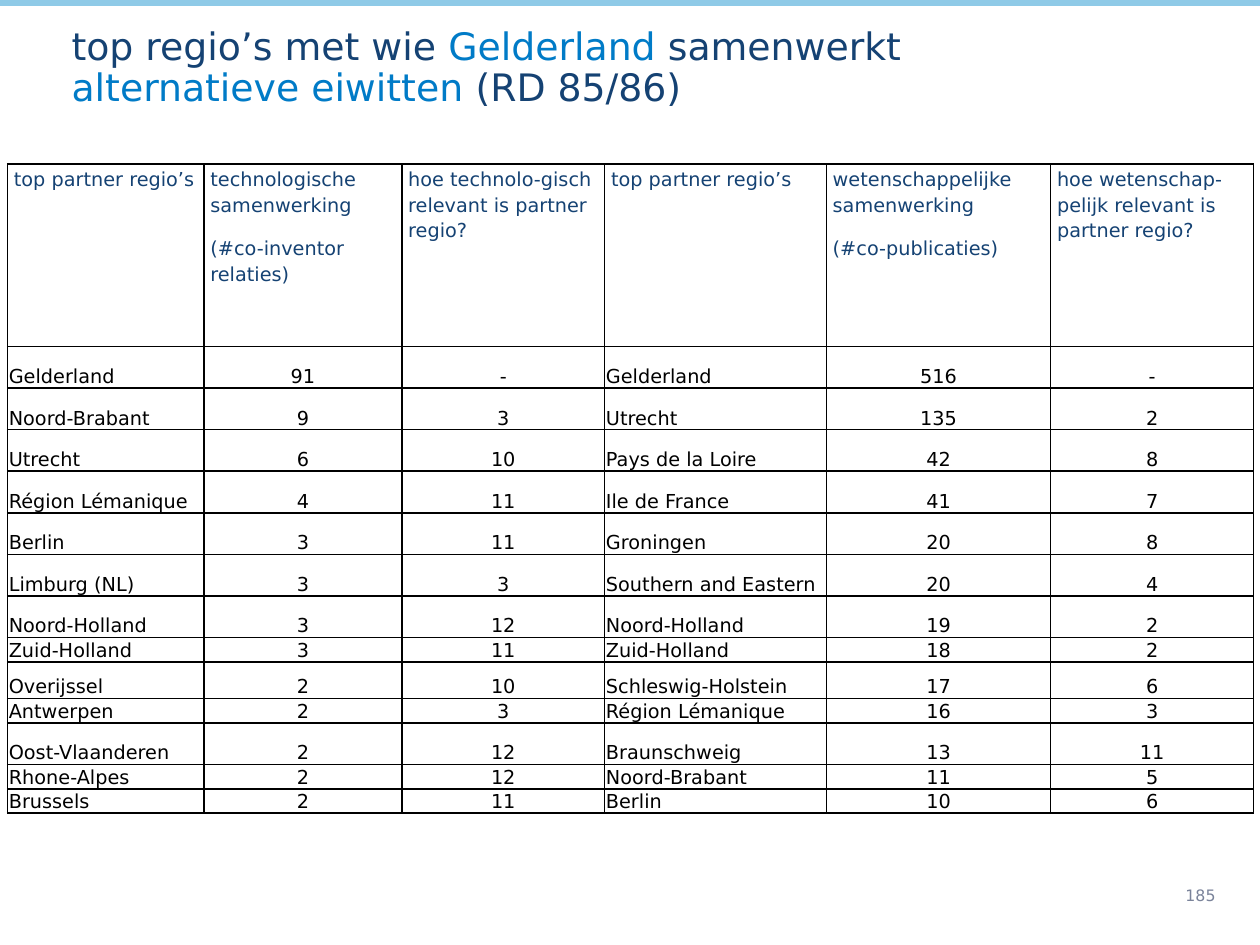
from lxml import etree
from pptx import Presentation
from pptx.dml.color import RGBColor
from pptx.enum.shapes import MSO_SHAPE
from pptx.enum.text import MSO_ANCHOR, PP_ALIGN
from pptx.oxml.ns import qn
from pptx.util import Inches, Pt

RECT = MSO_SHAPE.RECTANGLE
TOP, MID, LOW = MSO_ANCHOR.TOP, MSO_ANCHOR.MIDDLE, MSO_ANCHOR.BOTTOM
LEFT, CENTER = PP_ALIGN.LEFT, PP_ALIGN.CENTER

FONT = "DejaVu Sans"
NAVY = RGBColor(0x15, 0x42, 0x73)
BLUE = RGBColor(0x00, 0x7B, 0xC7)
SKY = RGBColor(0x8F, 0xCA, 0xE7)
GREY = RGBColor(0x7A, 0x83, 0x9A)
BLACK = RGBColor(0, 0, 0)

WIDTH, HEIGHT = 10, 7.5

# Column widths and row heights of the table, in inches
COLS = [1.56, 1.57, 1.61, 1.76, 1.78, 1.61]
HEAD, TALL, MEDIUM, SHORT = 1.45, 0.33, 0.29, 0.17
ROWS = [HEAD] + [TALL] * 7 + [SHORT, MEDIUM, SHORT, TALL, SHORT, SHORT]
NAMES = (0, 3)  # columns that hold region names

HEADS = [
    ["top partner regio’s"],
    ["technologische samenwerking", "(#co-inventor relaties)"],
    ["hoe technolo-gisch relevant is partner regio?"],
    ["top partner regio’s"],
    ["wetenschappelijke samenwerking", "(#co-publicaties)"],
    ["hoe wetenschap-pelijk relevant is partner regio?"],
]
DATA = [
    ("Gelderland", "91", "-", "Gelderland", "516", "-"),
    ("Noord-Brabant", "9", "3", "Utrecht", "135", "2"),
    ("Utrecht", "6", "10", "Pays de la Loire", "42", "8"),
    ("Région Lémanique", "4", "11", "Ile de France", "41", "7"),
    ("Berlin", "3", "11", "Groningen", "20", "8"),
    ("Limburg (NL)", "3", "3", "Southern and Eastern", "20", "4"),
    ("Noord-Holland", "3", "12", "Noord-Holland", "19", "2"),
    ("Zuid-Holland", "3", "11", "Zuid-Holland", "18", "2"),
    ("Overijssel", "2", "10", "Schleswig-Holstein", "17", "6"),
    ("Antwerpen", "2", "3", "Région Lémanique", "16", "3"),
    ("Oost-Vlaanderen", "2", "12", "Braunschweig", "13", "11"),
    ("Rhone-Alpes", "2", "12", "Noord-Brabant", "11", "5"),
    ("Brussels", "2", "11", "Berlin", "10", "6"),
]
TITLE = [
    ("top regio’s met wie ", NAVY), ("Gelderland", BLUE),
    (" samenwerkt", NAVY), ("\n", NAVY),
    ("alternatieve eiwitten ", BLUE), ("(RD 85/86)", NAVY),
]


def write(frame, paras, size=11, color=BLACK, align=LEFT, space=None, after=None):
    """Fill a frame; a paragraph is a string or a list of (text, colour)."""
    frame.word_wrap = True
    for i, runs in enumerate(paras):
        para = frame.add_paragraph() if i else frame.paragraphs[0]
        para.alignment = align
        if space:
            para.line_spacing = space
        if after:
            para.space_after = Pt(after)
        for text, tint in [(runs, color)] if isinstance(runs, str) else runs:
            if text == "\n":
                para.add_line_break()
                continue
            run = para.add_run()
            run.text = text
            run.font.name, run.font.size = FONT, Pt(size)
            run.font.color.rgb = tint


def add_text(slide, box, paras, anchor=TOP, **form):
    frame = slide.shapes.add_textbox(*map(Inches, box)).text_frame
    frame.vertical_anchor = anchor
    write(frame, paras, **form)


def add_bar(slide, box):
    bar = slide.shapes.add_shape(RECT, *map(Inches, box))
    bar.shadow.inherit = False
    bar.fill.solid()
    bar.fill.fore_color.rgb = SKY
    bar.line.color.rgb = SKY
    bar.line.width = Pt(0.75)


def add_lines(cell):
    """Draw a black border on each side of a cell."""
    props = cell._tc.get_or_add_tcPr()
    for side in "LRTB":
        line = etree.SubElement(props, qn(f"a:ln{side}"), w=str(Pt(1)))
        fill = etree.SubElement(line, qn("a:solidFill"))
        etree.SubElement(fill, qn("a:srgbClr"), val=str(BLACK))


def set_cell(cell, paras, inset, anchor, **form):
    cell.margin_left = cell.margin_right = Inches(inset)
    cell.margin_top, cell.margin_bottom = Inches(0.01), 0
    cell.vertical_anchor = anchor
    add_lines(cell)
    cell.fill.background()
    write(cell.text_frame, paras, **form)


def add_grid(slide, left, top):
    box = map(Inches, (left, top, sum(COLS), sum(ROWS)))
    table = slide.shapes.add_table(len(ROWS), len(COLS), *box).table
    table.first_row = table.horz_banding = False
    for col, width in zip(table.columns, COLS):
        col.width = Inches(width)
    for row, height in zip(table.rows, ROWS):
        row.height = Inches(height)
    # Header row
    for c, paras in enumerate(HEADS):
        set_cell(table.cell(0, c), paras, 0.05, TOP,
                 color=NAVY, space=1.15, after=10)
    # Regions and their values
    for r, values in enumerate(DATA, 1):
        for c, value in enumerate(values):
            set_cell(table.cell(r, c), [value], 0.01, LOW,
                     align=LEFT if c in NAMES else CENTER)


def main():
    deck = Presentation()
    deck.slide_width, deck.slide_height = Inches(WIDTH), Inches(HEIGHT)
    slide = deck.slides.add_slide(deck.slide_layouts[6])
    add_bar(slide, (0, 0, WIDTH, 0.04))
    add_text(slide, (0.47, 0.17, WIDTH - 0.47, 0.75), [TITLE],
             size=21.6, space=0.9)
    add_grid(slide, 0.06, 1.3)
    add_text(slide, (9.31, 6.9, 0.68, 0.41), ["185"], MID, size=9, color=GREY)
    deck.save("out.pptx")


if __name__ == "__main__":
    main()
